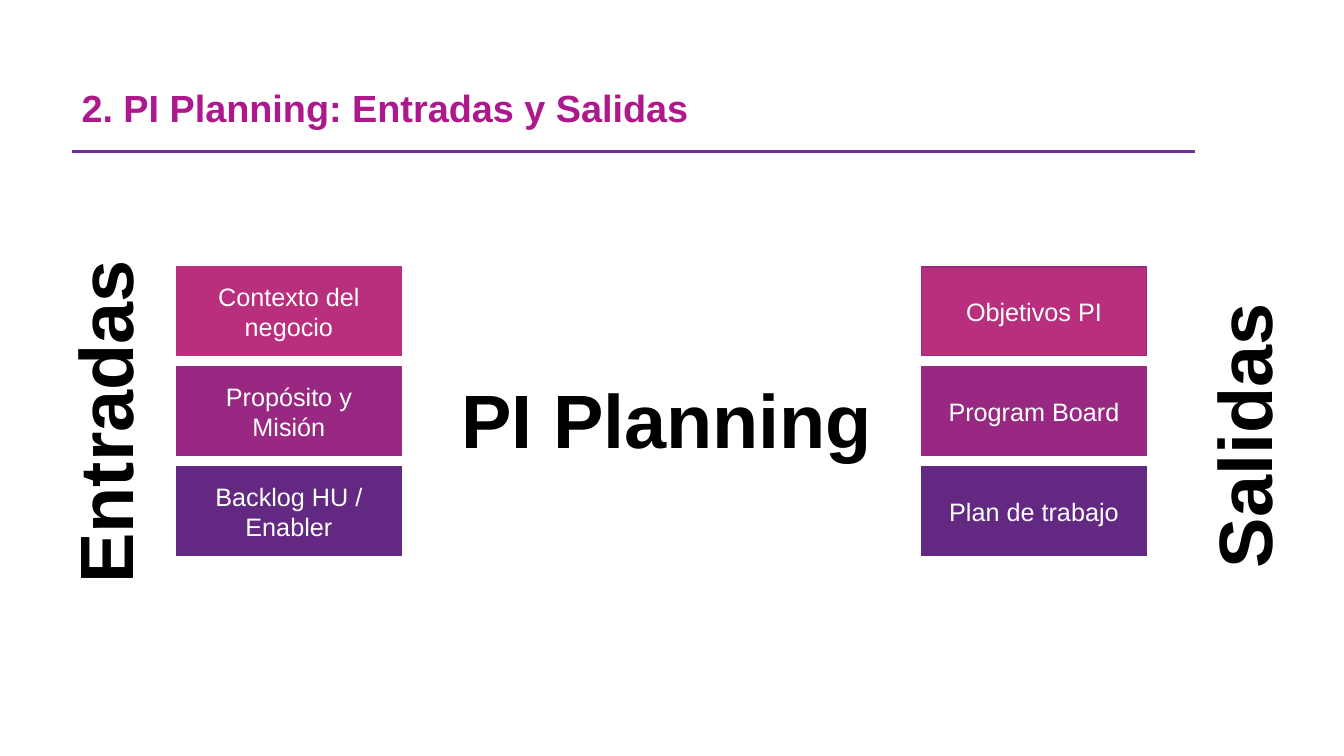
"""Build the slide on the inputs and outputs of PI Planning."""
from lxml.etree import SubElement
from pptx import Presentation
from pptx.dml.color import RGBColor
from pptx.enum.shapes import MSO_CONNECTOR as Connector, MSO_SHAPE as Shape
from pptx.enum.text import MSO_ANCHOR as Anchor, MSO_AUTO_SIZE as AutoSize, PP_ALIGN as Align
from pptx.oxml.ns import qn
from pptx.util import Inches, Pt

SLIDE_WIDTH, SLIDE_HEIGHT = Inches(13.33), Inches(7.5)
MAGENTA = RGBColor(0xAD, 0x19, 0x8D)
VIOLET = RGBColor(0x70, 0x30, 0xA0)
PINK = RGBColor(0xBA, 0x2F, 0x7D)
PLUM = RGBColor(0x98, 0x28, 0x81)
PURPLE = RGBColor(0x63, 0x28, 0x81)
WHITE = RGBColor(0xFF, 0xFF, 0xFF)
BLACK = RGBColor(0x00, 0x00, 0x00)

ROW_FILLS = (PINK, PLUM, PURPLE)
INPUTS = ("Contexto del negocio", "Propósito y Misión", "Backlog HU / Enabler")
OUTPUTS = ("Objetivos PI", "Program Board", "Plan de trabajo")
CARD_LEFT, CARD_TOP = 13.13, 35.33
CARD_WIDTH, CARD_HEIGHT = 16.73, 11.73
COLUMN_STEP, ROW_STEP = 55.44, 13.2
HEADING_HEIGHT = 13.47


def across(percent):
    """Return a percentage of the slide's width."""
    return round(SLIDE_WIDTH * percent / 100)


def down(percent):
    """Return a percentage of the slide's height."""
    return round(SLIDE_HEIGHT * percent / 100)


def area(left, top, width, height):
    """Turn percentages of the slide into a position and size."""
    return across(left), down(top), across(width), down(height)


def write(shape, text, size, color, bold=False, align=Align.CENTER,
          anchor=Anchor.MIDDLE, wrap=True, spacing=None):
    """Put one formatted paragraph into a shape."""
    frame = shape.text_frame
    frame.word_wrap = wrap
    frame.vertical_anchor = anchor
    para = frame.paragraphs[0]
    para.alignment = align
    para.line_spacing = spacing
    span = para.add_run()
    span.text = text
    span.font.name = "Arial"
    span.font.size = Pt(size)
    span.font.bold = bold
    span.font.color.rgb = color


def add_title(page, text):
    """Add the slide title and the rule under it."""
    box = page.shapes.add_textbox(*area(5.33, 10.53, 77.5, 8.13))
    write(box, text, 27, MAGENTA, bold=True, align=Align.LEFT, spacing=0.9)
    rule = page.shapes.add_connector(
        Connector.STRAIGHT, across(5.33), down(20), across(88.9), down(20))
    rule.line.color.rgb = VIOLET
    rule.line.width = Pt(2.25)
    SubElement(rule.element.spPr, qn("a:effectLst"))


def add_card(page, column, row, text, border):
    """Add a coloured card at a cell of the grid."""
    card = page.shapes.add_shape(Shape.RECTANGLE, *area(
        CARD_LEFT + column * COLUMN_STEP, CARD_TOP + row * ROW_STEP,
        CARD_WIDTH, CARD_HEIGHT))
    card.shadow.inherit = False
    card.fill.solid()
    card.fill.fore_color.rgb = ROW_FILLS[row]
    card.line.color.rgb = border
    card.line.width = Pt(1)
    write(card, text, 18, WHITE)


def add_heading(page, text, left, top, width, rotation=0):
    """Add a large heading, turned if asked."""
    box = page.shapes.add_textbox(*area(left, top, width, HEADING_HEIGHT))
    box.rotation = rotation
    write(box, text, 54, BLACK, bold=True, anchor=Anchor.TOP, wrap=False)
    box.text_frame.auto_size = AutoSize.SHAPE_TO_FIT_TEXT


def main():
    """Build and save the deck."""
    deck = Presentation()
    deck.slide_width, deck.slide_height = SLIDE_WIDTH, SLIDE_HEIGHT
    page = deck.slides.add_slide(deck.slide_layouts[6])
    add_title(page, "2. PI Planning: Entradas y Salidas")
    borders = (ROW_FILLS, (PLUM, PLUM, PURPLE))
    for column, texts in enumerate((INPUTS, OUTPUTS)):
        for row, text in enumerate(texts):
            add_card(page, column, row, text, borders[column][row])
    add_heading(page, "PI Planning", 33.38, 48.67, 32.48)
    add_heading(page, "Entradas", -5.18, 49.07, 25.81, rotation=270)
    add_heading(page, "Salidas", 81.77, 50.93, 21.38, rotation=270)
    deck.save("out.pptx")


if __name__ == "__main__":
    main()
